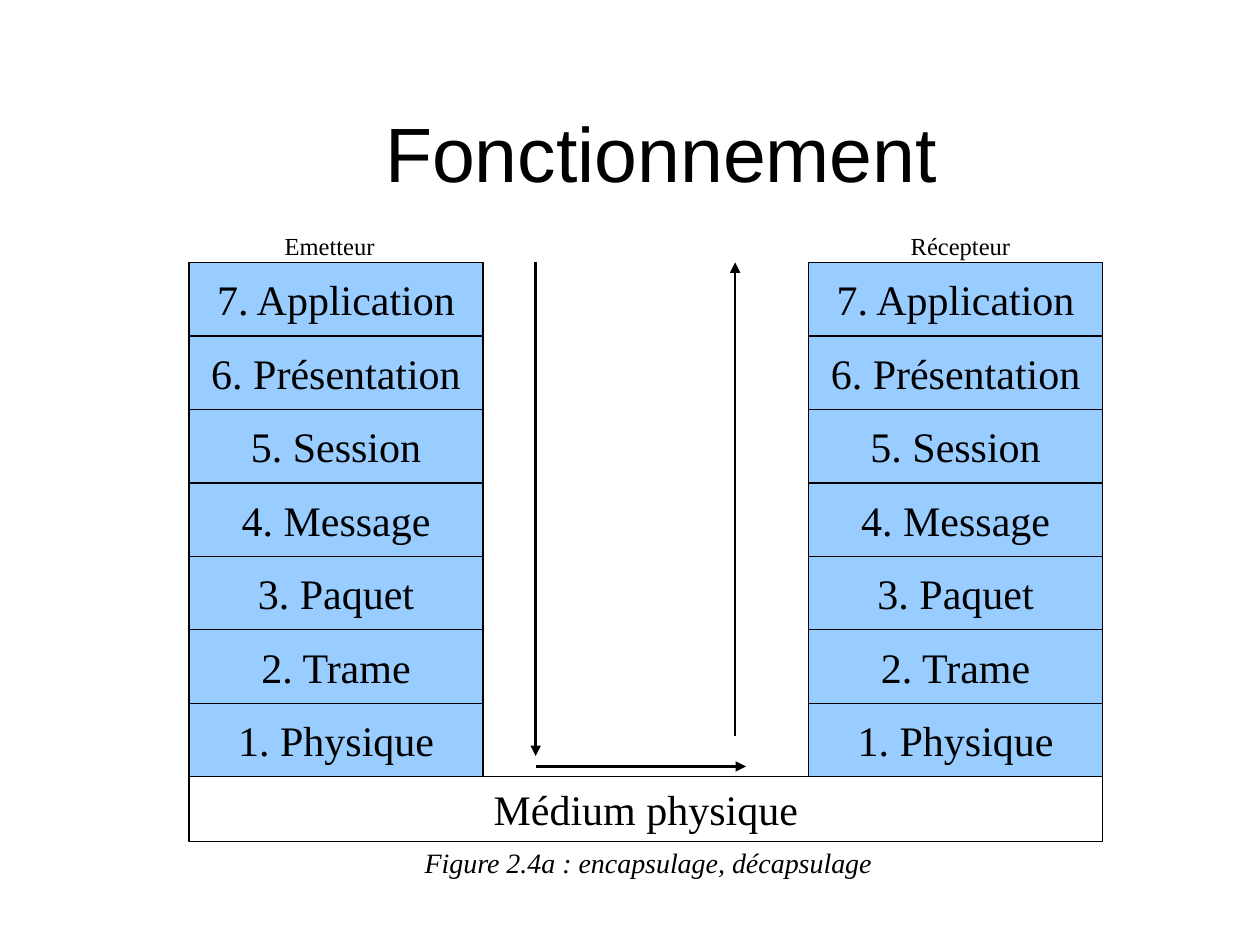
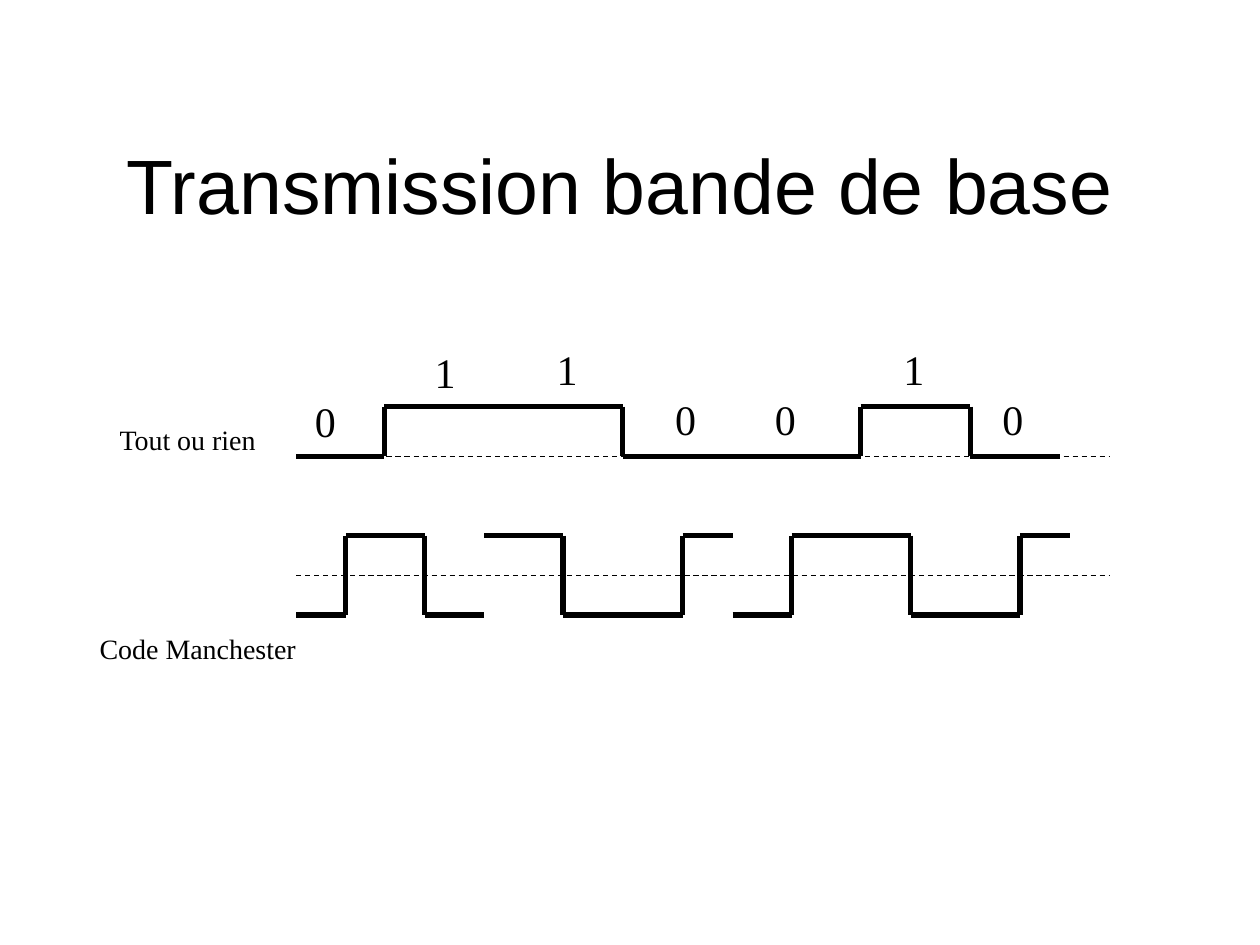
from dataclasses import dataclass

from lxml import etree
from pptx import Presentation
from pptx import util as u
from pptx.dml.color import RGBColor
from pptx.enum import dml, shapes, text
from pptx.oxml.ns import qn


@dataclass(frozen=True)
class Theme:
    ink: RGBColor = RGBColor(0x00, 0x00, 0x00)
    layer: RGBColor = RGBColor(0x99, 0xCC, 0xFF)
    head: str = "Arial"
    body: str = "Times New Roman"
    title: int = 44
    large: int = 24
    label: int = 16
    small: int = 14
    thin: float = 0.75
    arrow: float = 1.5
    trace: float = 3


T = Theme()
CENTER = text.PP_ALIGN.CENTER
MIDDLE = text.MSO_ANCHOR.MIDDLE

# Content: lengths in centimetres, boxes as left, top, width, height
TITLES = [
    ("Fonctionnement", (2.54, 1.47, 21.59, 3.18)),
    ("Transmission bande de base", (1.07, 1.68, 22.86, 4.04)),
]

LAYERS = ["7. Application", "6. Présentation", "5. Session", "4. Message",
          "3. Paquet", "2. Trame", "1. Physique"]
TOP, TALL, WIDE = 5.29, 10.37, 5.93
STACKS = [  # name, name box, left edge of the stack
    ("Emetteur", (5.49, 4.53, 2.6, 0.86), 3.81),
    ("Récepteur", (18.11, 4.53, 2.7, 0.86), 16.3),
]
MEDIUM = ("Médium physique", (3.81, TOP + TALL, 18.42, 1.3))
CAPTION = ("Figure 2.4a : encapsulage, décapsulage", (8.31, 16.93, 9.8, 0.94))
FLOWS = [
    ((10.8, TOP), (10.8, 15.24)),
    ((10.8, 15.45), (15.04, 15.45)),
    ((14.82, 14.83), (14.82, TOP)),
]

SIGNALS = [  # name, name box, axis, (low, high), traces as first level and edges
    ("Tout ou rien", (2.16, 8.4, 3.5, 0.94), 9.2, (9.2, 8.2), [
        (0, [5.97, 7.75, 12.55, 17.35, 19.56, 21.36]),
    ]),
    ("Code Manchester", (1.76, 12.6, 4.7, 0.94), 11.6, (12.4, 10.8), [
        (0, [5.97, 6.97, 8.56, 9.76]),
        (1, [9.76, 11.35, 13.76, 14.77]),
        (0, [14.77, 15.96, 18.36, 20.56, 21.56]),
    ]),
]
AXIS = (5.97, 22.38)
BITS = [("0", 6.1, 7.85), ("1", 8.51, 6.86), ("1", 10.97, 6.81), ("0", 13.36, 7.8),
        ("0", 15.37, 7.8), ("1", 17.96, 6.81), ("0", 19.96, 7.8)]


def place(box):
    return [u.Cm(v) for v in box]


def write(shape, words, size, font=T.body, align=None, anchor=text.MSO_ANCHOR.TOP,
          wrap=False, italic=None):
    frame = shape.text_frame
    frame.text = words
    frame.word_wrap = wrap
    frame.vertical_anchor = anchor
    par = frame.paragraphs[0]
    par.alignment = align
    face = par.runs[0].font
    face.name, face.size, face.italic = font, u.Pt(size), italic
    face.color.rgb = T.ink


def label(slide, words, box, size, **style):
    write(slide.shapes.add_textbox(*place(box)), words, size, **style)


def block(slide, words, box, fill=None):
    shape = slide.shapes.add_shape(shapes.MSO_SHAPE.RECTANGLE, *place(box))
    shape.shadow.inherit = False
    if fill is None:
        shape.fill.background()
    else:
        shape.fill.solid()
        shape.fill.fore_color.rgb = fill
    shape.line.color.rgb = T.ink
    shape.line.width = u.Pt(T.thin)
    write(shape, words, T.large, align=CENTER, anchor=MIDDLE, wrap=True)


def stroke(slide, start, end, width, dash=False, arrow=False):
    line = slide.shapes.add_connector(
        shapes.MSO_CONNECTOR.STRAIGHT, *place(start), *place(end))
    line.line.color.rgb = T.ink
    line.line.width = u.Pt(width)
    if dash:
        line.line.dash_style = dml.MSO_LINE.DASH
    if arrow:
        etree.SubElement(line.line._get_or_add_ln(), qn("a:tailEnd"), type="triangle")
    etree.SubElement(line._element.spPr, qn("a:effectLst"))


def draw(slide, level, edges, heights):
    """Draw a square wave that changes level at every inner edge."""
    points = []
    for left, right in zip(edges, edges[1:]):
        points += [(left, heights[level]), (right, heights[level])]
        level = 1 - level
    for start, end in zip(points, points[1:]):
        stroke(slide, start, end, T.trace)


def start(deck, title):
    slide = deck.slides.add_slide(deck.slide_layouts[6])
    words, box = title
    label(slide, words, box, T.title, font=T.head, align=CENTER,
          anchor=MIDDLE, wrap=True)
    return slide


def stacks(deck):
    slide = start(deck, TITLES[0])
    # Sender and receiver layers
    step = TALL / len(LAYERS)
    for name, box, left in STACKS:
        for row, layer in enumerate(LAYERS):
            block(slide, layer, (left, TOP + row * step, WIDE, step), T.layer)
        label(slide, name, box, T.small)
    # Shared medium and data path
    block(slide, *MEDIUM)
    for tail, tip in FLOWS:
        stroke(slide, tail, tip, T.arrow, arrow=True)
    label(slide, *CAPTION, T.label, italic=True)


def signals(deck):
    slide = start(deck, TITLES[1])
    # Dashed axis, square waves and name of each code
    for name, box, axis, heights, traces in SIGNALS:
        stroke(slide, (AXIS[0], axis), (AXIS[1], axis), T.thin, dash=True)
        for level, edges in traces:
            draw(slide, level, edges, heights)
        label(slide, name, box, T.label)
    # Bit values
    for bit, left, top in BITS:
        label(slide, bit, (left, top, 0.91, 1.27), T.large)


def main():
    deck = Presentation()
    deck.slide_width, deck.slide_height = u.Cm(25.4), u.Cm(19.05)
    stacks(deck)
    signals(deck)
    deck.save("out.pptx")


if __name__ == "__main__":
    main()
